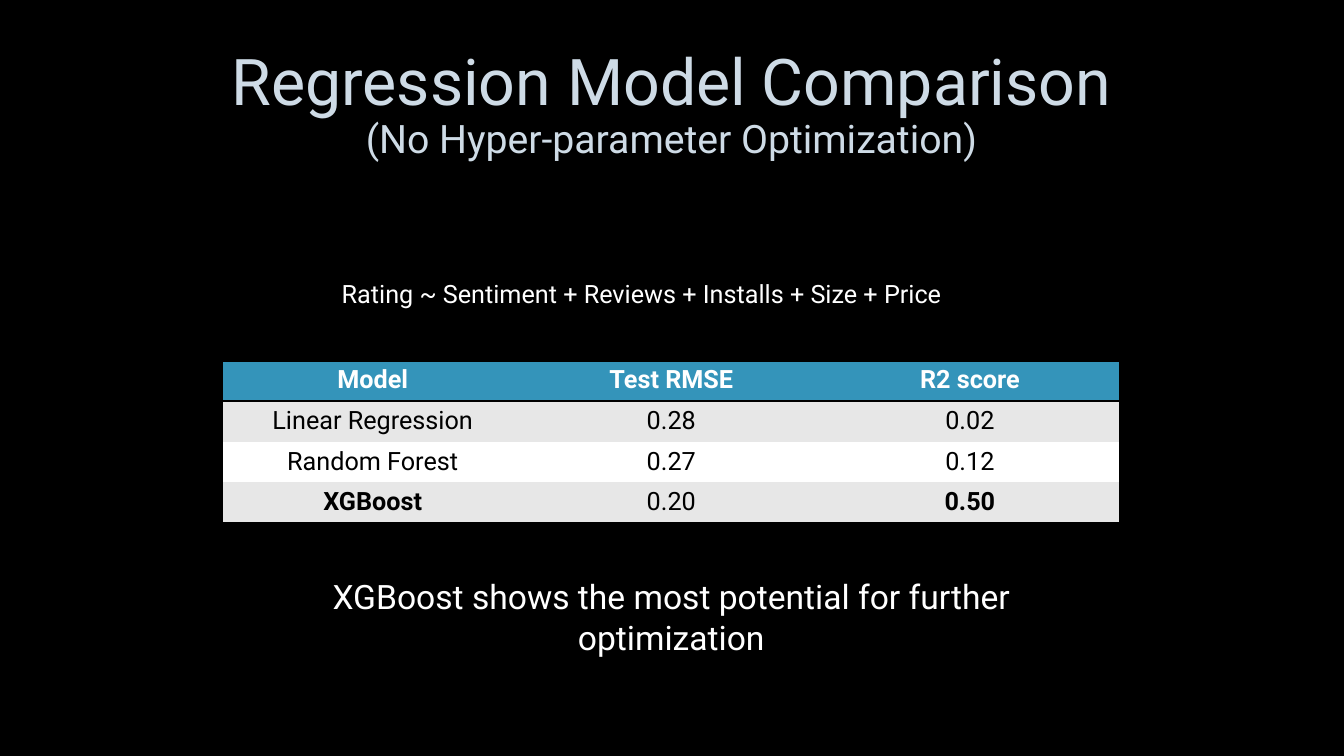
from dataclasses import dataclass

import pptx
import pptx.dml.color
import pptx.enum.text
import pptx.oxml
import pptx.oxml.ns
import pptx.util

Pt = pptx.util.Pt
Align = pptx.enum.text.PP_ALIGN
Anchor = pptx.enum.text.MSO_ANCHOR


@dataclass(frozen=True)
class Theme:
    font: str = "Roboto"
    background: str = "000000"
    title: str = "CEDBE6"
    light_text: str = "FFFFFF"
    dark_text: str = "000000"
    header_fill: str = "3494BA"
    band_fills: tuple[str, str] = ("E7E7E7", "FFFFFF")
    rule: str = "000000"
    title_size: float = 46
    subtitle_size: float = 28
    body_size: float = 18
    conclusion_size: float = 24


@dataclass(frozen=True)
class TextLine:
    text: str
    size: float


@dataclass(frozen=True)
class TextBlock:
    left: float
    top: float
    width: float
    height: float
    lines: tuple[TextLine, ...]
    color: str
    align: Align = Align.CENTER
    anchor: Anchor = Anchor.TOP
    wrap: bool = True
    spacing: float = 1.0


@dataclass(frozen=True)
class ModelScore:
    model: str
    rmse: str
    r2: str
    bold: tuple[bool, bool, bool] = (False, False, False)


THEME = Theme()

TEXT_BLOCKS = (
    # Title with its subtitle on a second line
    TextBlock(72, 26, 815, 99.4,
              (TextLine("Regression Model Comparison", THEME.title_size),
               TextLine("(No Hyper-parameter Optimization)", THEME.subtitle_size)),
              THEME.title, anchor=Anchor.MIDDLE, spacing=0.9),
    # Regression formula
    TextBlock(237, 195.2, 446.4, 29,
              (TextLine("Rating ~ Sentiment + Reviews + Installs + Size + Price",
                        THEME.body_size),),
              THEME.light_text, align=Align.LEFT, wrap=False),
    # Conclusion
    TextBlock(164, 408.2, 631, 36,
              (TextLine("XGBoost shows the most potential for further optimization",
                        THEME.conclusion_size),),
              THEME.light_text),
)

SCORES = (
    ModelScore("Model", "Test RMSE", "R2 score", (True, True, True)),
    ModelScore("Linear Regression", "0.28", "0.02"),
    ModelScore("Random Forest", "0.27", "0.12"),
    ModelScore("XGBoost", "0.20", "0.50", (True, False, True)),
)
TABLE_LEFT, TABLE_TOP = 159.6, 257.4
COLUMN_WIDTH, ROW_HEIGHT = 213.3, 29.1
RULE_WIDTH = 2
PLAIN_TABLE_STYLE = "{2D5ABB26-0587-4C30-8999-92F81FD0307C}"


def rgb(color: str) -> pptx.dml.color.RGBColor:
    return pptx.dml.color.RGBColor.from_string(color)


def draw_text(slide: pptx.slide.Slide, block: TextBlock) -> None:
    frame = slide.shapes.add_textbox(
        Pt(block.left), Pt(block.top), Pt(block.width), Pt(block.height)).text_frame
    frame.word_wrap = block.wrap
    frame.vertical_anchor = block.anchor
    paragraph = frame.paragraphs[0]
    paragraph.alignment = block.align
    paragraph.line_spacing = block.spacing
    paragraph.font.name = THEME.font
    paragraph.font.color.rgb = rgb(block.color)
    paragraph.font.size = Pt(block.lines[0].size)
    for index, line in enumerate(block.lines):
        if index:
            paragraph.add_line_break()
        run = paragraph.add_run()
        run.text = line.text
        if len(block.lines) > 1:
            run.font.size = Pt(line.size)


def add_rule(cell: pptx.table._Cell, side: str) -> None:
    """Draw a cell border; side is T or B."""
    border = pptx.oxml.parse_xml(
        f'<a:ln{side} {pptx.oxml.ns.nsdecls("a")} w="{Pt(RULE_WIDTH)}">'
        f'<a:solidFill><a:srgbClr val="{THEME.rule}"/></a:solidFill></a:ln{side}>')
    properties = cell._tc.get_or_add_tcPr()
    # Borders come before the fill, top before bottom
    position = len(properties.findall(pptx.oxml.ns.qn("a:lnT")))
    properties.insert(position, border)


def draw_scores(slide: pptx.slide.Slide, scores: tuple[ModelScore, ...]) -> None:
    frame = slide.shapes.add_table(
        len(scores), 3, Pt(TABLE_LEFT), Pt(TABLE_TOP),
        Pt(3 * COLUMN_WIDTH), Pt(len(scores) * ROW_HEIGHT))
    table = frame.table
    table.horz_banding = False
    style = table._tbl.tblPr.find(pptx.oxml.ns.qn("a:tableStyleId"))
    style.text = PLAIN_TABLE_STYLE
    for column in table.columns:
        column.width = Pt(COLUMN_WIDTH)
    for row_index, score in enumerate(scores):
        table.rows[row_index].height = Pt(ROW_HEIGHT)
        header = row_index == 0
        fill = THEME.header_fill if header else THEME.band_fills[(row_index - 1) % 2]
        values = (score.model, score.rmse, score.r2)
        for column_index, (value, bold) in enumerate(zip(values, score.bold)):
            cell = table.cell(row_index, column_index)
            cell.fill.solid()
            cell.fill.fore_color.rgb = rgb(fill)
            if header:
                add_rule(cell, "T")
            if header or row_index == len(scores) - 1:
                add_rule(cell, "B")
            paragraph = cell.text_frame.paragraphs[0]
            paragraph.text = value
            paragraph.alignment = Align.CENTER
            paragraph.font.name = THEME.font
            paragraph.font.size = Pt(THEME.body_size)
            paragraph.font.bold = bold
            paragraph.font.color.rgb = rgb(
                THEME.light_text if header else THEME.dark_text)


def main() -> None:
    deck = pptx.Presentation()
    deck.slide_width, deck.slide_height = Pt(960), Pt(540)
    slide = deck.slides.add_slide(deck.slide_layouts[6])

    # Background
    slide.background.fill.solid()
    slide.background.fill.fore_color.rgb = rgb(THEME.background)

    # Model comparison table
    draw_scores(slide, SCORES)

    # Title, formula and conclusion
    for block in TEXT_BLOCKS:
        draw_text(slide, block)

    deck.save("out.pptx")


if __name__ == "__main__":
    main()
